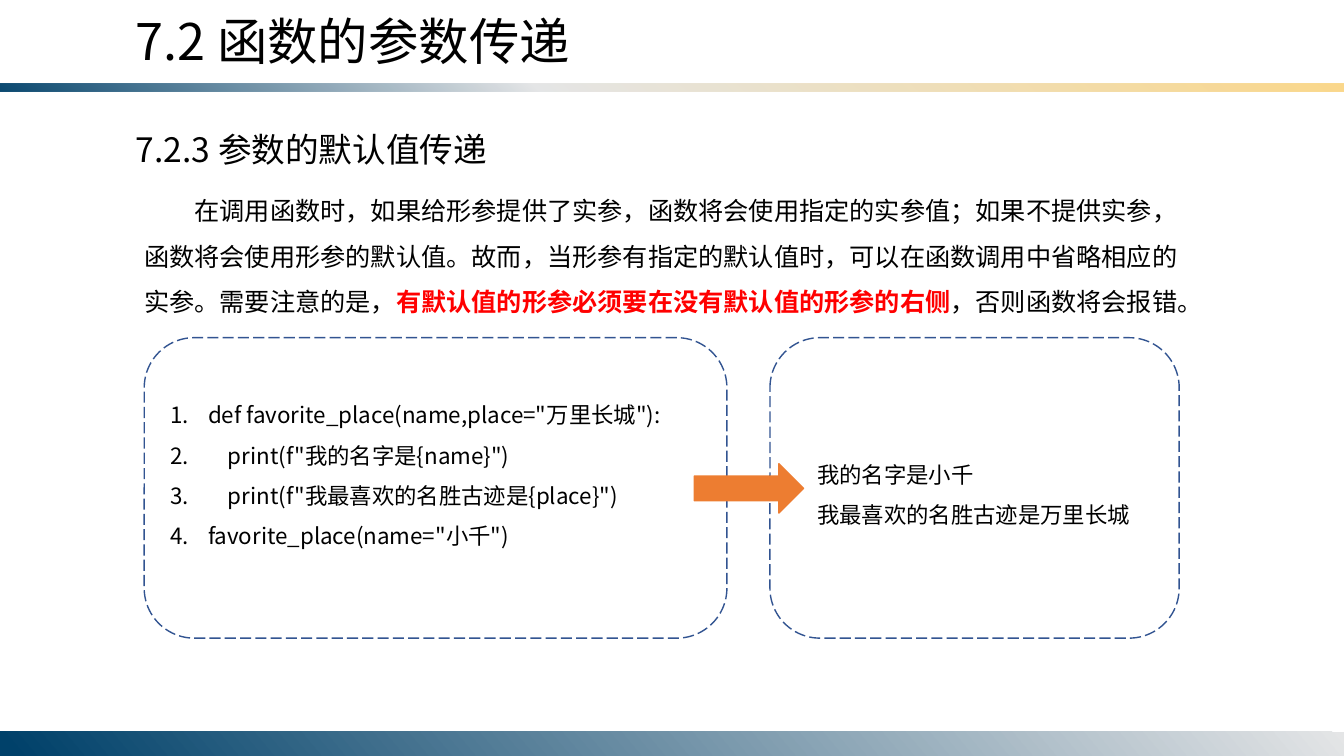
from pptx import Presentation
from pptx import util as u
from pptx.dml.color import RGBColor
from pptx.enum import dml, shapes, text
from pptx.oxml import parse_xml
from pptx.oxml import ns

FONT = "Noto Sans CJK SC"
COLORS = {
    "text": "000000", "alert": "FF0000", "panel": "325491", "arrow": "ED7D31",
    "navy": "00416A", "silver": "E4E5E6", "gold": "FBD786",
}
BARS = [
    {"box": (0, 59.8, 960, 5.8), "angle": 50, "flip": True,
     "stops": [(0, "navy", 95), (40, "silver", 95), (100, "gold", 95)]},
    {"box": (0, 522.5, 960, 17.5), "angle": 140, "flip": False,
     "stops": [(0, "silver", 100), (99, "navy", 100)]},
]
TEXTS = [
    {"box": (90, 3.6, 440.6, 51), "size": 36,
     "paragraphs": [[("7.2 函数的参数传递", "text")]]},
    {"box": (90, 88.5, 273, 36), "size": 24,
     "paragraphs": [[("7.2.3 参数的默认值传递", "text")]]},
    {"box": (95.8, 125.3, 769, 105), "size": 18, "spacing": 1.5, "indent": 36,
     "paragraphs": [[
         ("在调用函数时，如果给形参提供了实参，函数将会使用指定的实参值；如果不提供实参，"
          "函数将会使用形参的默认值。故而，当形参有指定的默认值时，可以在函数调用中省略相应的"
          "实参。需要注意的是，", "text"),
         ("有默认值的形参必须要在没有默认值的形参的右侧", "alert"),
         ("，否则函数将会报错。", "text")]]},
    {"box": (114.5, 273.6, 404.6, 123.8), "size": 16, "spacing": 1.5, "numbered": 27,
     "paragraphs": [
         [('def favorite_place(name,place="万里长城"):', "text")],
         [('    print(f"我的名字是{name}")', "text")],
         [('    print(f"我最喜欢的名胜古迹是{place}")', "text")],
         [('favorite_place(name="小千")', "text")]]},
    {"box": (576.7, 316, 239, 65.5), "size": 16, "spacing": 1.5,
     "paragraphs": [[("我的名字是小千", "text")],
                    [("我最喜欢的名胜古迹是万里长城", "text")]]},
]
PANEL_TOP, PANEL_HEIGHT = 241.2, 214.6
PANELS = [(103, 416.2), (550, 292.3)]
ARROW = (496, 331.2, 78, 35.3)


def points(box):
    return [u.Pt(value) for value in box]


def rgb(name):
    return RGBColor.from_string(COLORS[name])


def apply(target, values):
    for name, value in values.items():
        setattr(target, name, value)


def add_shape(slide, kind, box):
    shape = slide.shapes.add_shape(kind, *points(box))
    shape.shadow.inherit = False
    shape.fill.background()
    return shape


def add_bar(slide, bar):
    shape = add_shape(slide, shapes.MSO_SHAPE.RECTANGLE, bar["box"])
    shape.line.fill.background()
    stops = "".join(
        f'<a:gs pos="{position * 1000}"><a:srgbClr val="{COLORS[color]}">'
        f'<a:alpha val="{alpha * 1000}"/></a:srgbClr></a:gs>'
        for position, color, alpha in bar["stops"])
    gradient = parse_xml(
        f'<a:gradFill {ns.nsdecls("a")} rotWithShape="1"><a:gsLst>{stops}</a:gsLst>'
        f'<a:lin ang="{bar["angle"] * 60000}" scaled="0"/></a:gradFill>')
    properties = shape.element.spPr
    properties.replace(properties.find(ns.qn("a:noFill")), gradient)
    if bar["flip"]:
        properties.find(ns.qn("a:xfrm")).set("flipV", "1")


def format_paragraph(paragraph, block):
    properties = paragraph._p.get_or_add_pPr()
    if "numbered" in block:
        margin = u.Pt(block["numbered"])
        properties.set("marL", str(margin))
        properties.set("indent", str(-margin))
        properties.append(parse_xml(
            f'<a:buAutoNum {ns.nsdecls("a")} type="arabicPeriod"/>'))
    elif "indent" in block:
        properties.set("indent", str(u.Pt(block["indent"])))
    paragraph.line_spacing = block.get("spacing", 1.0)


def add_text(slide, block):
    frame = slide.shapes.add_textbox(*points(block["box"])).text_frame
    apply(frame, {"word_wrap": True, "auto_size": text.MSO_AUTO_SIZE.SHAPE_TO_FIT_TEXT})
    for index, runs in enumerate(block["paragraphs"]):
        paragraph = frame.add_paragraph() if index else frame.paragraphs[0]
        format_paragraph(paragraph, block)
        for words, color in runs:
            run = paragraph.add_run()
            run.text = words
            apply(run.font, {"name": FONT, "size": u.Pt(block["size"]),
                             "bold": color == "alert"})
            run.font.color.rgb = rgb(color)
            run.font._element.append(parse_xml(
                f'<a:ea {ns.nsdecls("a")} typeface="{FONT}"/>'))


def add_panel(slide, left, width):
    box = (left, PANEL_TOP, width, PANEL_HEIGHT)
    shape = add_shape(slide, shapes.MSO_SHAPE.ROUNDED_RECTANGLE, box)
    shape.line.color.rgb = rgb("panel")
    apply(shape.line, {"width": u.Pt(1), "dash_style": dml.MSO_LINE.LONG_DASH})


def add_arrow(slide):
    shape = add_shape(slide, shapes.MSO_SHAPE.RIGHT_ARROW, ARROW)
    shape.fill.solid()
    shape.fill.fore_color.rgb = rgb("arrow")
    shape.line.color.rgb = rgb("arrow")
    shape.line.width = u.Pt(1)


def main():
    presentation = Presentation()
    apply(presentation, {"slide_width": u.Pt(960), "slide_height": u.Pt(540)})
    slide = presentation.slides.add_slide(presentation.slide_layouts[6])
    for bar in BARS:
        add_bar(slide, bar)
    for block in TEXTS:
        add_text(slide, block)
    for left, width in PANELS:
        add_panel(slide, left, width)
    add_arrow(slide)
    presentation.save("out.pptx")


if __name__ == "__main__":
    main()
